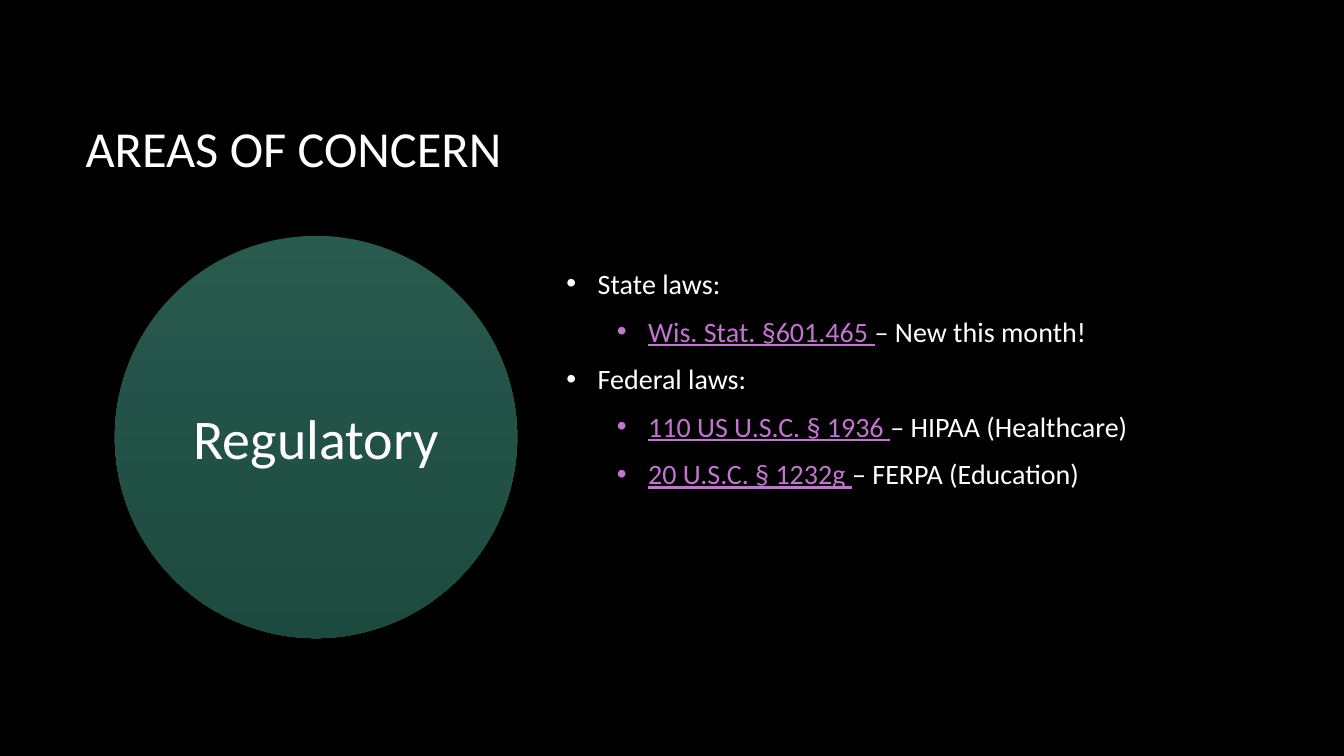
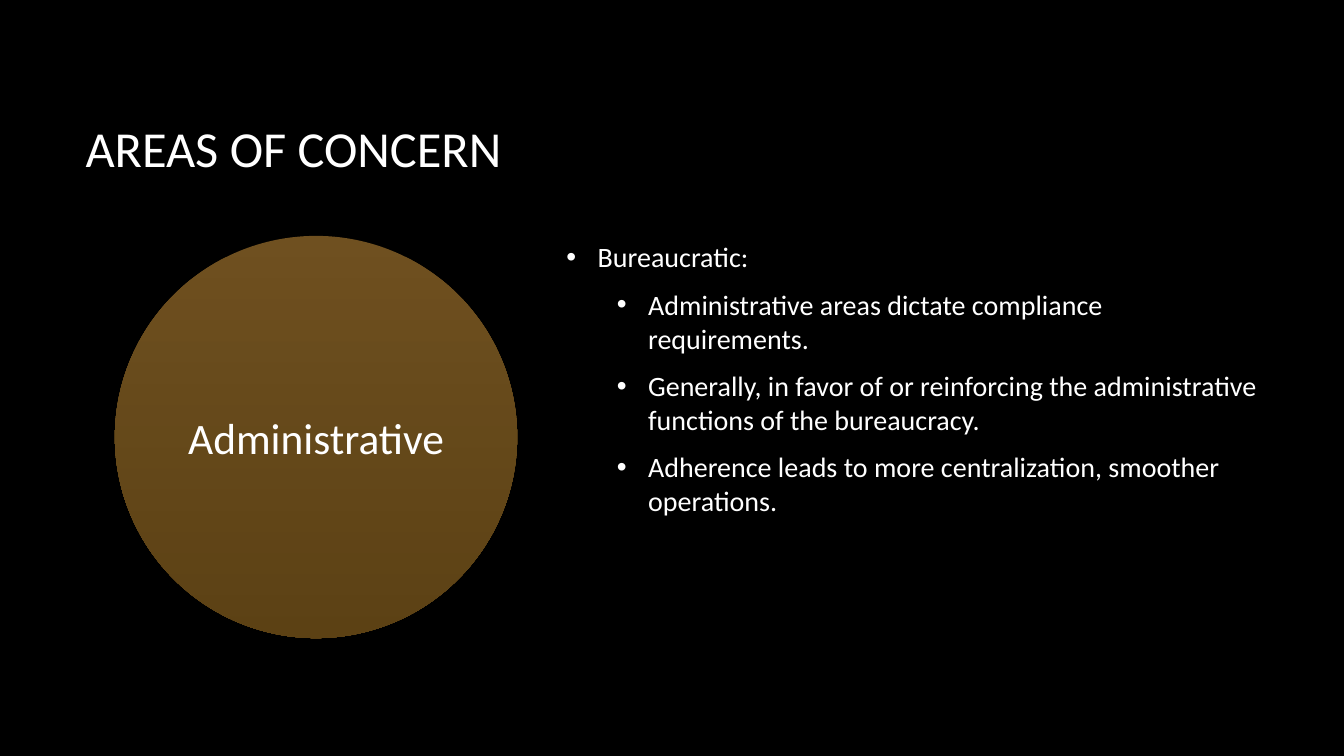
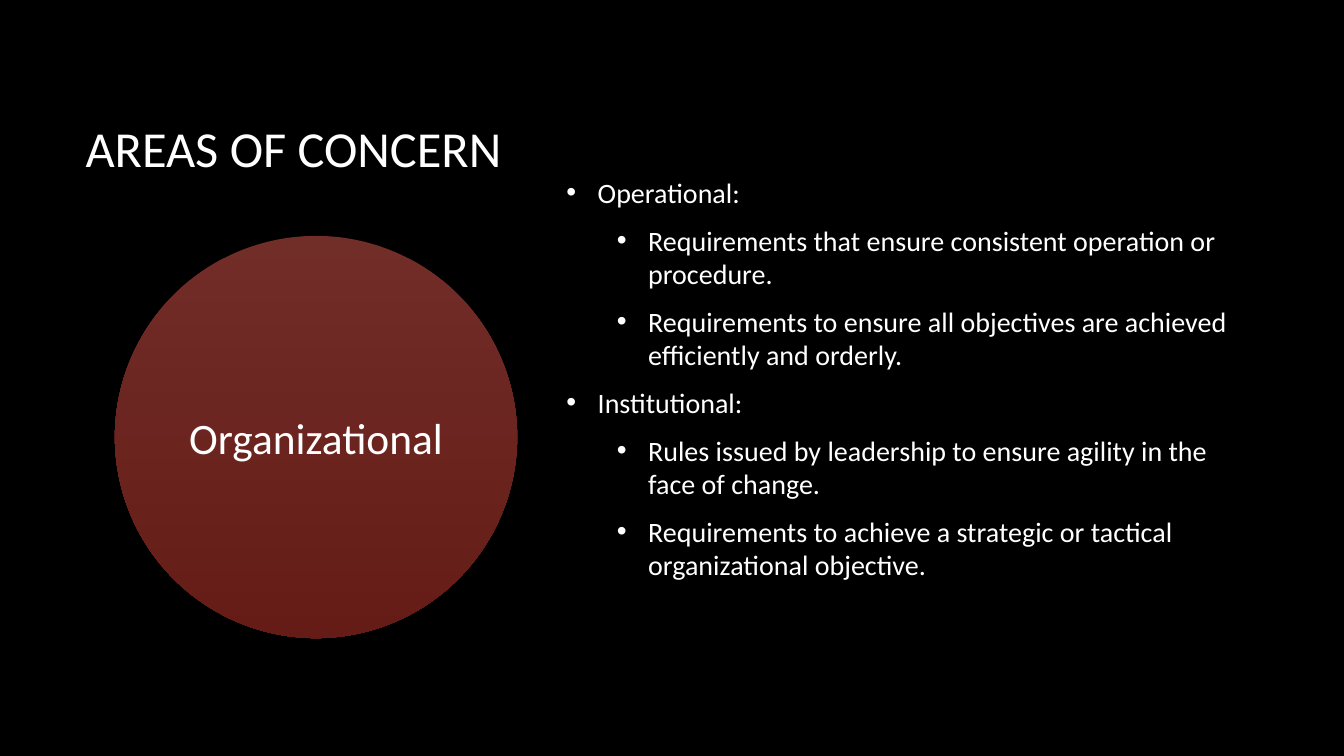
"""Build three slides on areas of concern."""
from pptx import Presentation, util as u
from pptx.dml.color import RGBColor
from pptx.enum import shapes, text
from pptx.oxml.ns import qn
from lxml import etree

TITLE = "AREAS OF CONCERN"
AREAS = [
    {"name": "Regulatory", "size": 40,
     "top": RGBColor(0x50, 0xB4, 0x9B), "low": RGBColor(0x3A, 0x94, 0x7F),
     "points": [
         (0, "", "State laws:"),
         (1, "Wis. Stat. §601.465 ", "– New this month!"),
         (0, "", "Federal laws:"),
         (1, "110 US U.S.C. § 1936 ", "– HIPAA (Healthcare)"),
         (1, "20 U.S.C. § 1232g ", "– FERPA (Education)")]},
    {"name": "Administrative", "size": 31,
     "top": RGBColor(0xDE, 0xA0, 0x40), "low": RGBColor(0xB8, 0x83, 0x29),
     "points": [
         (0, "", "Bureaucratic:"),
         (1, "", "Administrative areas dictate compliance requirements."),
         (1, "", "Generally, in favor of or reinforcing the administrative "
                 "functions of the bureaucracy."),
         (1, "", "Adherence leads to more centralization, smoother operations.")]},
    {"name": "Organizational", "size": 31,
     "top": RGBColor(0xE3, 0x5A, 0x51), "low": RGBColor(0xCB, 0x38, 0x2C),
     "points": [
         (0, "", "Operational:"),
         (1, "", "Requirements that ensure consistent operation or procedure."),
         (1, "", "Requirements to ensure all objectives are achieved "
                 "efficiently and orderly."),
         (0, "", "Institutional:"),
         (1, "", "Rules issued by leadership to ensure agility in the face of change."),
         (1, "", "Requirements to achieve a strategic or tactical "
                 "organizational objective.")]},
]

BLACK = RGBColor(0, 0, 0)
WHITE = RGBColor(0xFF, 0xFF, 0xFF)
CITE = RGBColor(0xC5, 0x73, 0xD2)
FONT = "Calibri"
WIDE, HIGH = u.Inches(13.33), u.Inches(7.5)
HEAD = (5.63, 8.93, 83.12, 21.2)
BODY = (41.41, 8.93, 52.96, 82.27)
DISC = (8.55, 31.2, 29.93, 53.2)


def place(left, top, width, height):
    """Turn percentages of the slide into lengths."""
    return [round(part * side / 100) for part, side in
            zip((left, top, width, height), (WIDE, HIGH) * 2)]


def add_mark(para, level):
    """Give a paragraph a hanging bullet."""
    props = para._p.get_or_add_pPr()
    props.set("marL", str(u.Inches(0.31 + 0.5 * level)))
    props.set("indent", str(-u.Inches(0.31)))
    etree.SubElement(props, qn("a:buFont"), typeface="Arial")
    etree.SubElement(props, qn("a:buChar"), char="•")


def write(shape, lines, size, align=text.PP_ALIGN.LEFT, after=0, marks=False):
    """Fill a shape with lines of (level, citation, words)."""
    frame = shape.text_frame
    frame.word_wrap = True
    frame.vertical_anchor = text.MSO_ANCHOR.MIDDLE
    for index, (level, cite, words) in enumerate(lines):
        para = frame.add_paragraph() if index else frame.paragraphs[0]
        para.level, para.alignment = level, align
        para.space_after = u.Pt(after)
        if marks:
            add_mark(para, level)
        for part, tint in ((cite, CITE), (words, WHITE)):
            if part:
                run = para.add_run()
                run.text = part
                run.font.name, run.font.size = FONT, u.Pt(size)
                run.font.color.rgb = tint
                if tint == CITE:
                    run.font.underline = True


def add_disc(slide, area):
    """Draw the half-clear shaded disc that names the area."""
    disc = slide.shapes.add_shape(shapes.MSO_SHAPE.OVAL, *place(*DISC))
    disc.shadow.inherit = False
    disc.line.fill.background()
    disc.fill.gradient()
    disc.fill.gradient_angle = 270
    for stop, tint in zip(disc.fill.gradient_stops, (area["top"], area["low"])):
        stop.color.rgb = tint
    for tint in disc._element.spPr.iter(qn("a:srgbClr")):
        etree.SubElement(tint, qn("a:alpha"), val="50000")
    write(disc, [(0, "", area["name"])], area["size"], text.PP_ALIGN.CENTER)


def main():
    """Build and save the deck."""
    deck = Presentation()
    deck.slide_width, deck.slide_height = WIDE, HIGH
    back = deck.slide_master.background.fill
    back.solid()
    back.fore_color.rgb = BLACK
    for area in AREAS:
        slide = deck.slides.add_slide(deck.slide_layouts[6])
        write(slide.shapes.add_textbox(*place(*HEAD)), [(0, "", TITLE)], 36)
        add_disc(slide, area)
        write(slide.shapes.add_textbox(*place(*BODY)), area["points"], 20,
              after=10, marks=True)
    deck.save("out.pptx")


if __name__ == "__main__":
    main()
